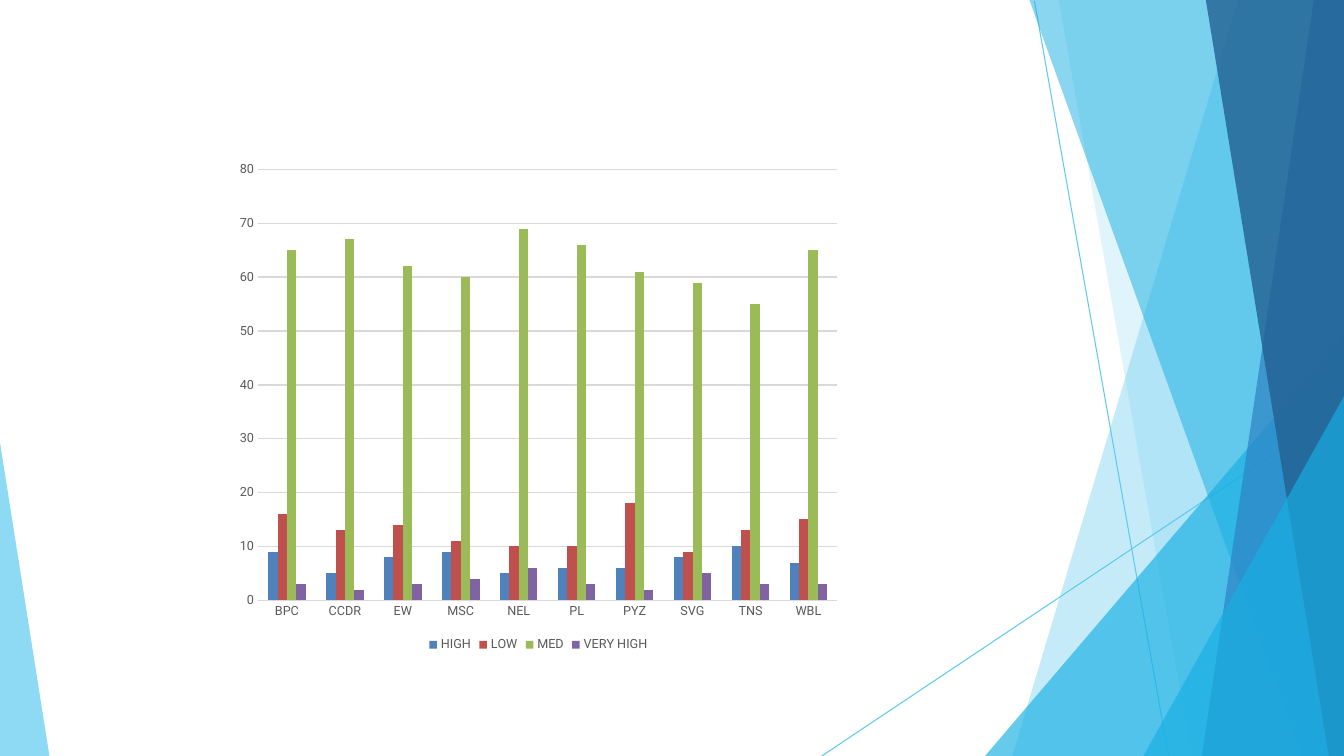
import pptx
import pptx.util
import pptx.chart.data
import pptx.dml.color
import pptx.enum.chart
import pptx.oxml
import pptx.oxml.ns
import lxml.etree

COLUMNS, ROWS = 1333, 750
CELL = pptx.util.Inches(0.01)
FONT = "Roboto"
COLORS = {
    "sky": "5FCAEE", "cyan": "17AFE3", "blue": "2D83C3", "navy": "226192",
    "label": "595959", "grid": "D9D9D9",
    "HIGH": "4F81BD", "LOW": "C0504D", "MED": "9BBB59", "VERY HIGH": "8064A2",
}
RIGHT_BOX = (815, 0, 518, ROWS)
LEFT_BOX = (0, 439, 49, 311)
CHART_BOX = (225, 148, 618, 503)

RAYS = [((211, 1), (344, 750)), ((518, 404), (0, 750))]
RIGHT_FACETS = [
    ((413, 0), 189, "sky", 36),
    ((235, 0), 367, "sky", 20),
    ((518, 333), 162, "cyan", 66),
    ((206, 0), 476, "cyan", 50),
    ((488, 0), 377, "blue", 70),
    ((381, 0), 503, "navy", 80),
    ((518, 393), 319, "cyan", 66),
]
LEFT_FACETS = [((0, 0), 49, "sky", 70)]

TEAMS = ["BPC", "CCDR", "EW", "MSC", "NEL", "PL", "PYZ", "SVG", "TNS", "WBL"]
RATINGS = {
    "HIGH": [9, 5, 8, 9, 5, 6, 6, 8, 10, 7],
    "LOW": [16, 13, 14, 11, 10, 10, 18, 9, 13, 15],
    "MED": [65, 67, 62, 60, 69, 66, 61, 59, 55, 65],
    "VERY HIGH": [3, 2, 3, 4, 6, 3, 2, 5, 3, 3],
}
PLOT_SHARES = {"x": 0.05, "y": 0.04, "w": 0.93, "h": 0.85}


def rgb(name):
    return pptx.dml.color.RGBColor.from_string(COLORS[name])


def apply(target, formats):
    for attribute, value in formats.items():
        setattr(target, attribute, value)


def style_text(font, size, color=None):
    apply(font, {"name": FONT, "size": pptx.util.Pt(size)})
    if color:
        font.color.rgb = rgb(color)


def style_line(line, color, width):
    line.color.rgb = rgb(color)
    line.width = pptx.util.Pt(width)


def draw_rays(slide, box, rays):
    left, top = box[:2]
    for start, end in rays:
        ray = slide.shapes.add_connector(
            pptx.enum.shapes.MSO_CONNECTOR.STRAIGHT,
            (left + start[0]) * CELL, (top + start[1]) * CELL,
            (left + end[0]) * CELL, (top + end[1]) * CELL)
        style_line(ray.line, "sky", 0.75)
        lxml.etree.SubElement(ray._element.spPr, pptx.oxml.ns.qn("a:effectLst"))


def draw_facets(slide, box, edge, facets):
    left, top, _, height = box
    for (tip_column, tip_row), foot_column, color, opacity in facets:
        corners = dict.fromkeys([
            (edge, tip_row), (tip_column, tip_row), (foot_column, height), (edge, height)])
        points = [((left + column) * CELL, (top + row) * CELL) for column, row in corners]
        builder = slide.shapes.build_freeform(*points[0])
        builder.add_line_segments(points[1:], close=True)
        facet = builder.convert_to_shape()
        facet.shadow.inherit = False
        facet.line.fill.background()
        facet.fill.solid()
        facet.fill.fore_color.rgb = rgb(color)
        tint = facet._element.spPr.find(".//" + pptx.oxml.ns.qn("a:srgbClr"))
        lxml.etree.SubElement(tint, pptx.oxml.ns.qn("a:alpha"), val=str(opacity * 1000))


def place_plot(chart):
    plot_area = chart._chartSpace.chart.plotArea
    for automatic in plot_area.findall(pptx.oxml.ns.qn("c:layout")):
        plot_area.remove(automatic)
    layout = pptx.oxml.parse_xml(f"<c:layout {pptx.oxml.ns.nsdecls('c')}><c:manualLayout/></c:layout>")
    settings = {"layoutTarget": "inner", "xMode": "edge", "yMode": "edge", **PLOT_SHARES}
    for tag, value in settings.items():
        lxml.etree.SubElement(layout[0], pptx.oxml.ns.qn(f"c:{tag}"), val=str(value))
    plot_area.insert(0, layout)


def draw_ratings_chart(slide, box):
    ratings = pptx.chart.data.CategoryChartData()
    ratings.categories = TEAMS
    for rating, counts in RATINGS.items():
        ratings.add_series(rating, counts)
    chart = slide.shapes.add_chart(
        pptx.enum.chart.XL_CHART_TYPE.COLUMN_CLUSTERED,
        *(length * CELL for length in box), ratings).chart
    apply(chart, {"has_title": False, "has_legend": True})
    style_text(chart.font, 10)
    apply(chart.legend, {
        "position": pptx.enum.chart.XL_LEGEND_POSITION.BOTTOM, "include_in_layout": False})
    style_text(chart.legend.font, 9, "label")

    plot = chart.plots[0]
    apply(plot, {"gap_width": 219, "overlap": 0, "vary_by_categories": False})
    for bars in plot.series:
        bars.format.fill.solid()
        bars.format.fill.fore_color.rgb = rgb(bars.name)
        bars.invert_if_negative = False

    no_tick = pptx.enum.chart.XL_TICK_MARK.NONE
    for axis in (chart.category_axis, chart.value_axis):
        apply(axis, {"major_tick_mark": no_tick, "minor_tick_mark": no_tick})
        style_text(axis.tick_labels.font, 9, "label")
    style_line(chart.category_axis.format.line, "grid", 1)
    apply(chart.value_axis, {
        "minimum_scale": 0, "maximum_scale": 80, "major_unit": 10, "has_major_gridlines": True})
    chart.value_axis.format.line.fill.background()
    style_line(chart.value_axis.major_gridlines.format.line, "grid", 1)
    place_plot(chart)


def main():
    deck = pptx.Presentation()
    apply(deck, {"slide_width": COLUMNS * CELL, "slide_height": ROWS * CELL})
    slide = deck.slides.add_slide(deck.slide_layouts[6])
    draw_rays(slide, RIGHT_BOX, RAYS)
    draw_facets(slide, RIGHT_BOX, RIGHT_BOX[2], RIGHT_FACETS)
    draw_facets(slide, LEFT_BOX, 0, LEFT_FACETS)
    draw_ratings_chart(slide, CHART_BOX)
    deck.save("out.pptx")


if __name__ == "__main__":
    main()
